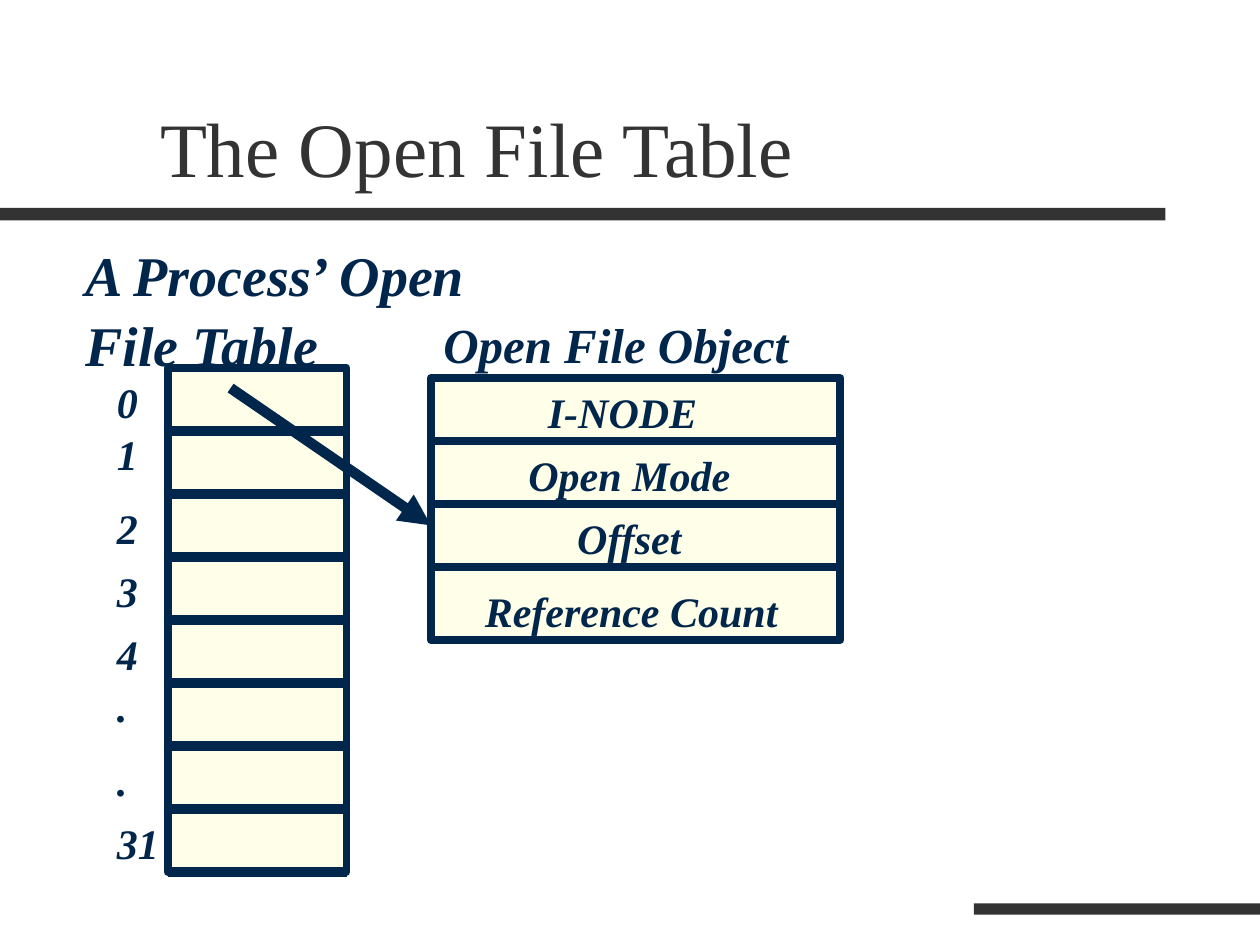
"""Build a slide showing how a process' open file table points to an open file object."""
from dataclasses import dataclass

from lxml.etree import SubElement
from pptx import Presentation
from pptx.dml.color import RGBColor
from pptx.enum.shapes import MSO_CONNECTOR as Connector, MSO_SHAPE as Shape
from pptx.enum.text import MSO_ANCHOR as Anchor, MSO_AUTO_SIZE as AutoSize, PP_ALIGN as Align
from pptx.oxml.ns import qn
from pptx.util import Inches, Pt


def rgb(code):
    """Turn a hex string into a colour."""
    return RGBColor.from_string(code)


@dataclass
class Diagram:
    """Hold the style and the current slide."""
    slide: object
    font: str = "Times New Roman"
    ink: str = "00264C"
    paper: str = "FFFFE9"
    gray: str = "333333"

    def fill_text(self, frame, text, color, align=Align.LEFT, spacing=1.0, **formats):
        """Put formatted text into a frame."""
        frame.word_wrap = True
        frame.auto_size = AutoSize.NONE
        paragraph = frame.paragraphs[0]
        paragraph.alignment = align
        paragraph.line_spacing = spacing
        run = paragraph.add_run()
        run.text = text
        run.font.color.rgb = rgb(color)
        for key, value in {"name": self.font, **formats}.items():
            setattr(run.font, key, value)

    def title(self, text, left, top, width, height):
        """Fill and place the title placeholder."""
        heading = self.slide.shapes.title
        place = {"left": left, "top": top, "width": width, "height": height}
        for key, value in place.items():
            setattr(heading, key, Inches(value))
        heading.text_frame.vertical_anchor = Anchor.BOTTOM
        self.fill_text(heading.text_frame, text, self.gray, size=Pt(44))

    def label(self, text, left, top, width, height=0.5, size=24, align=Align.LEFT):
        """Add a bold italic label."""
        box = self.slide.shapes.add_textbox(*map(Inches, (left, top, width, height)))
        self.fill_text(box.text_frame, text, self.ink, align, 1.05,
                       size=Pt(size), bold=True, italic=True)

    def box(self, left, top, width, height, fill, weight=0):
        """Add a rectangle, outlined when a weight is given."""
        rect = self.slide.shapes.add_shape(
            Shape.RECTANGLE, *map(Inches, (left, top, width, height)))
        rect.shadow.inherit = False
        rect.fill.solid()
        rect.fill.fore_color.rgb = rgb(fill)
        if weight:
            rect.line.color.rgb = rgb(self.ink)
            rect.line.width = Pt(weight)
        else:
            rect.line.fill.background()
        return rect

    def line(self, start, end, weight, arrow=False):
        """Add a straight line, with an arrowhead on request."""
        stroke = self.slide.shapes.add_connector(
            Connector.STRAIGHT, *map(Inches, (*start, *end)))
        stroke.line.color.rgb = rgb(self.ink)
        stroke.line.width = Pt(weight)
        properties = stroke._element.spPr
        if arrow:
            SubElement(properties.find(qn("a:ln")), qn("a:tailEnd"), type="triangle")
        SubElement(properties, qn("a:effectLst"))
        return stroke


def main():
    """Draw the slide and save it."""
    deck = Presentation()
    deck.slide_width, deck.slide_height = Inches(10), Inches(7.5)
    diagram = Diagram(deck.slides.add_slide(deck.slide_layouts[5]))

    diagram.box(0, 1.65, 9.25, 0.1, diagram.gray)
    diagram.box(7.73, 7.17, 2.27, 0.09, diagram.gray)
    diagram.title("The Open File Table", 1.17, 0.33, 8.5, 1.25)

    row, table_left, table_top, table_width = 0.5, 1.33, 2.92, 1.42
    table_right = table_left + table_width
    entries = [("0", 2.92), ("1", 3.33), ("2", 3.92), ("3", 4.42),
               ("4", 4.92), (".", 5.33), (".", 5.92), ("31", 6.42)]
    count = len(entries)
    file_table = diagram.box(table_left, table_top, table_width, count * row,
                             diagram.paper, 4.5)
    for number in range(1, count + 1):
        y = table_top + number * row
        divider = diagram.line((table_left, y), (table_right, y), 6)
        if number * 2 == count:
            divider.begin_connect(file_table, 1)
            divider.end_connect(file_table, 3)
    diagram.label("A Process’ Open File Table", 0.58, 1.83, 3.42, 1.17, size=32)
    for index, top in entries:
        diagram.label(index, 0.83, top, 0.67)

    diagram.line((1.83, 3.08), (3.42, 4.17), 6, arrow=True)

    object_left, object_top, object_width, object_height = 3.42, 3, 3.25, 2.08
    object_right = object_left + object_width
    diagram.box(object_left, object_top, object_width, object_height, diagram.paper, 4.5)
    diagram.label("Open File Object", 3.42, 2.42, 3.33, 0.57, size=28)
    fields = [
        ("I-NODE", 4.25, 3, 1.83, Align.LEFT, 3.5),
        ("Open Mode", 3.58, 3.5, 2.83, Align.CENTER, 4),
        ("Offset", 3.58, 4, 2.83, Align.CENTER, 4.5),
        ("Reference Count", 3.75, 4.58, 2.83, Align.LEFT, object_top + object_height),
    ]
    for field, left, top, width, align, bottom in fields:
        diagram.label(field, left, top, width, align=align)
        diagram.line((object_left, bottom), (object_right, bottom), 4.5)

    deck.save("out.pptx")


if __name__ == "__main__":
    main()
